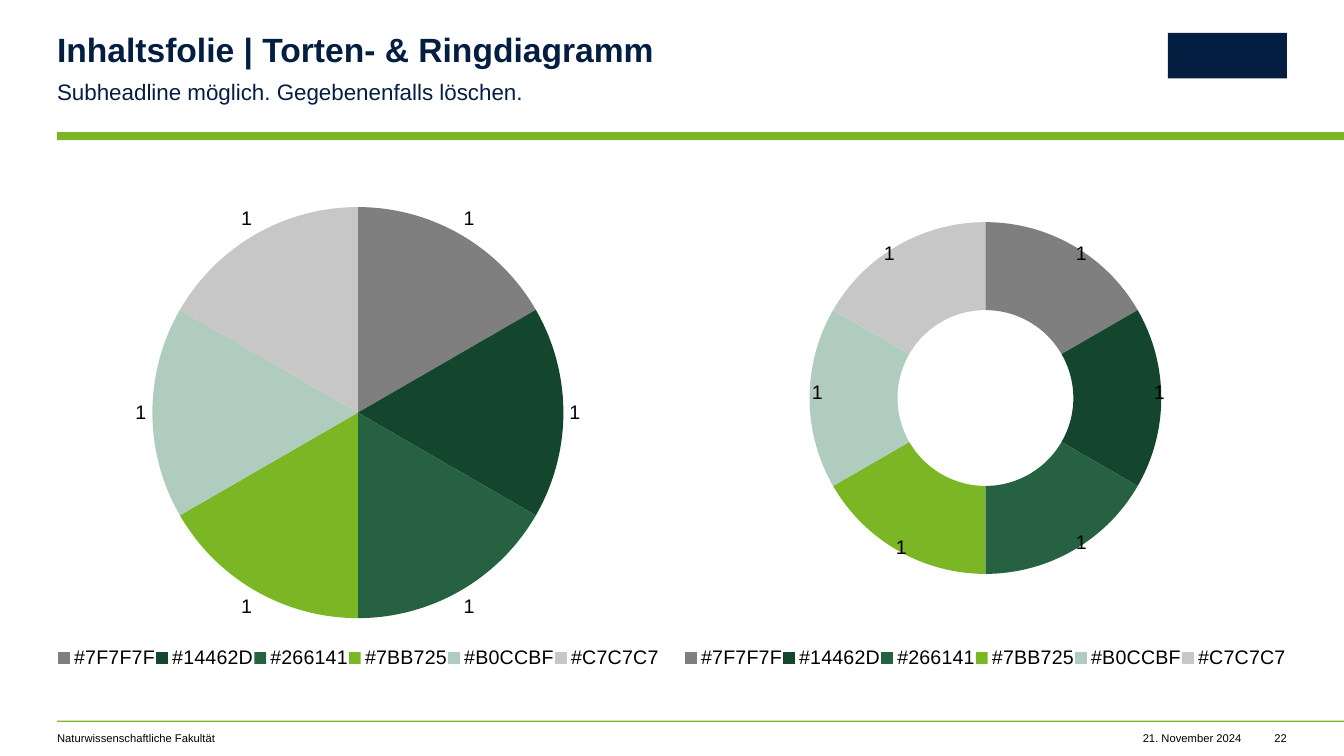
from lxml import etree
from pptx import Presentation
from pptx.chart.data import CategoryChartData
from pptx.dml.color import RGBColor
from pptx.enum.chart import XL_CHART_TYPE, XL_LABEL_POSITION, XL_LEGEND_POSITION
from pptx.enum.shapes import MSO_SHAPE
from pptx.enum.text import PP_ALIGN
from pptx.oxml import parse_xml
from pptx.oxml.ns import qn
from pptx.util import Cm, Pt

PIE, DOUGHNUT = XL_CHART_TYPE.PIE, XL_CHART_TYPE.DOUGHNUT
OUTSIDE, BOTTOM = XL_LABEL_POSITION.OUTSIDE_END, XL_LEGEND_POSITION.BOTTOM
LEFT, RIGHT = PP_ALIGN.LEFT, PP_ALIGN.RIGHT
RECT = MSO_SHAPE.RECTANGLE

FONT = "Arial"
COLORS = {"navy": "041E42", "green": "7BB725", "black": "000000"}
SLICES = ["7F7F7F", "14462D", "266141", "7BB725", "B0CCBF", "C7C7C7"]
CHART_NS = "http://schemas.openxmlformats.org/drawingml/2006/chart"

SLIDE_W, SLIDE_H = 33.87, 19.05
MARGIN = 1.44
COLUMN_W = 15.19
RIGHT_COLUMN = SLIDE_W - MARGIN - COLUMN_W

prs = Presentation()
prs.slide_width, prs.slide_height = Cm(SLIDE_W), Cm(SLIDE_H)
slide = prs.slides.add_slide(prs.slide_layouts[6])


def add_text(text, left, top, width, height, size=8, color="black",
             bold=False, align=LEFT, spacing=1.0):
    frame = slide.shapes.add_textbox(Cm(left), Cm(top), Cm(width), Cm(height)).text_frame
    frame.margin_left = frame.margin_right = frame.margin_top = frame.margin_bottom = 0
    frame.word_wrap = True
    paragraph = frame.paragraphs[0]
    paragraph.alignment, paragraph.line_spacing = align, spacing
    run = paragraph.add_run()
    run.text = text
    run.font.name, run.font.size, run.font.bold = FONT, Pt(size), bold
    run.font.color.rgb = RGBColor.from_string(COLORS[color])


def manual_layout(**values):
    items = "".join(f'<c:{key} val="{value}"/>' for key, value in values.items())
    return parse_xml(f'<c:layout xmlns:c="{CHART_NS}"><c:manualLayout>'
                     f'{items}</c:manualLayout></c:layout>')


# Header bar, footer rule and plain block in the logo's place
for left, top, width, height, color in [
    (MARGIN, 3.33, SLIDE_W - MARGIN, 0.2, "green"),
    (MARGIN, 18.16, SLIDE_W - MARGIN, 0.03, "green"),
    (29.43, 0.83, 3, 1.15, "navy"),
]:
    block = slide.shapes.add_shape(RECT, Cm(left), Cm(top), Cm(width), Cm(height))
    block.shadow.inherit = False
    block.fill.solid()
    block.fill.fore_color.rgb = RGBColor.from_string(COLORS[color])
    block.line.fill.background()

# Headline and subheadline
add_text("Inhaltsfolie | Torten- & Ringdiagramm", MARGIN, 0.85, 19.02, 0.91,
         size=24, color="navy", bold=True, spacing=0.9)
add_text("Subheadline möglich. Gegebenenfalls löschen.", MARGIN, 1.9, 18.03, 0.69,
         size=16, color="navy", spacing=1.1)

# Pie and ring chart share data, slice colours and legend
chart_data = CategoryChartData()
chart_data.categories = [f"#{color}" for color in SLICES]
chart_data.add_series("Series 1", [1] * len(SLICES))

charts = {}
for kind, left, (x, y, w, h) in [
    (PIE, MARGIN, (0.158, 0.055, 0.682, 0.816)),
    (DOUGHNUT, RIGHT_COLUMN, (0.208, 0.085, 0.584, 0.698)),
]:
    chart = slide.shapes.add_chart(kind, Cm(left), Cm(4.52), Cm(COLUMN_W), Cm(12.7),
                                   chart_data).chart
    charts[kind] = chart
    chart.has_title = False
    chart.font.name, chart.font.size = FONT, Pt(10)
    chart.has_legend = True
    chart.legend.position, chart.legend.include_in_layout = BOTTOM, False
    series = chart.plots[0].series[0]
    series.data_labels.show_value = True
    for font in (chart.legend.font, series.data_labels.font):
        font.name, font.size = FONT, Pt(14)
        font.color.rgb = RGBColor.from_string(COLORS["black"])
    for index, color in enumerate(SLICES):
        fill = series.points[index].format.fill
        fill.solid()
        fill.fore_color.rgb = RGBColor.from_string(color)

    # Plot area and one-row legend across the full chart width
    plot_area = chart.element.find(f".//{qn('c:plotArea')}")
    legend = chart.element.find(f".//{qn('c:legend')}")
    for part in (plot_area, legend):
        for layout in part.findall(qn("c:layout")):
            part.remove(layout)
    plot_area.insert(0, manual_layout(layoutTarget="inner", xMode="edge", yMode="edge",
                                      x=x, y=y, w=w, h=h))
    legend.insert(1, manual_layout(xMode="edge", yMode="edge", x=0, y=0.915, w=1, h=0.07))

charts[PIE].plots[0].series[0].data_labels.position = OUTSIDE

# Ring: hole, and labels moved towards the outer edge
ring = charts[DOUGHNUT]
doughnut = ring.element.find(f".//{qn('c:doughnutChart')}")
hole = doughnut.find(qn("c:holeSize"))
if hole is None:
    hole = etree.SubElement(doughnut, qn("c:holeSize"))
hole.set("val", "80")

label_shifts = [(0.05, -0.06), (0.07, -0.01), (0.05, 0.06),
                (-0.03, 0.07), (-0.06, -0.01), (-0.05, -0.06)]
ring_points = ring.plots[0].series[0].points
for index in range(len(SLICES)):
    font = ring_points[index].data_label.font
    font.name, font.size = FONT, Pt(14)
    font.color.rgb = RGBColor.from_string(COLORS["black"])
for label, (x, y) in zip(doughnut.iter(qn("c:dLbl")), label_shifts):
    label.insert(1, manual_layout(x=x, y=y))

# Footer
add_text("Naturwissenschaftliche Fakultät", MARGIN, 18.44, COLUMN_W, 0.33)
add_text("21. November 2024", 28.29, 18.44, 3, 0.33, align=RIGHT)
add_text("22", 31.9, 18.44, 0.53, 0.33, align=RIGHT)

prs.save("out.pptx")
